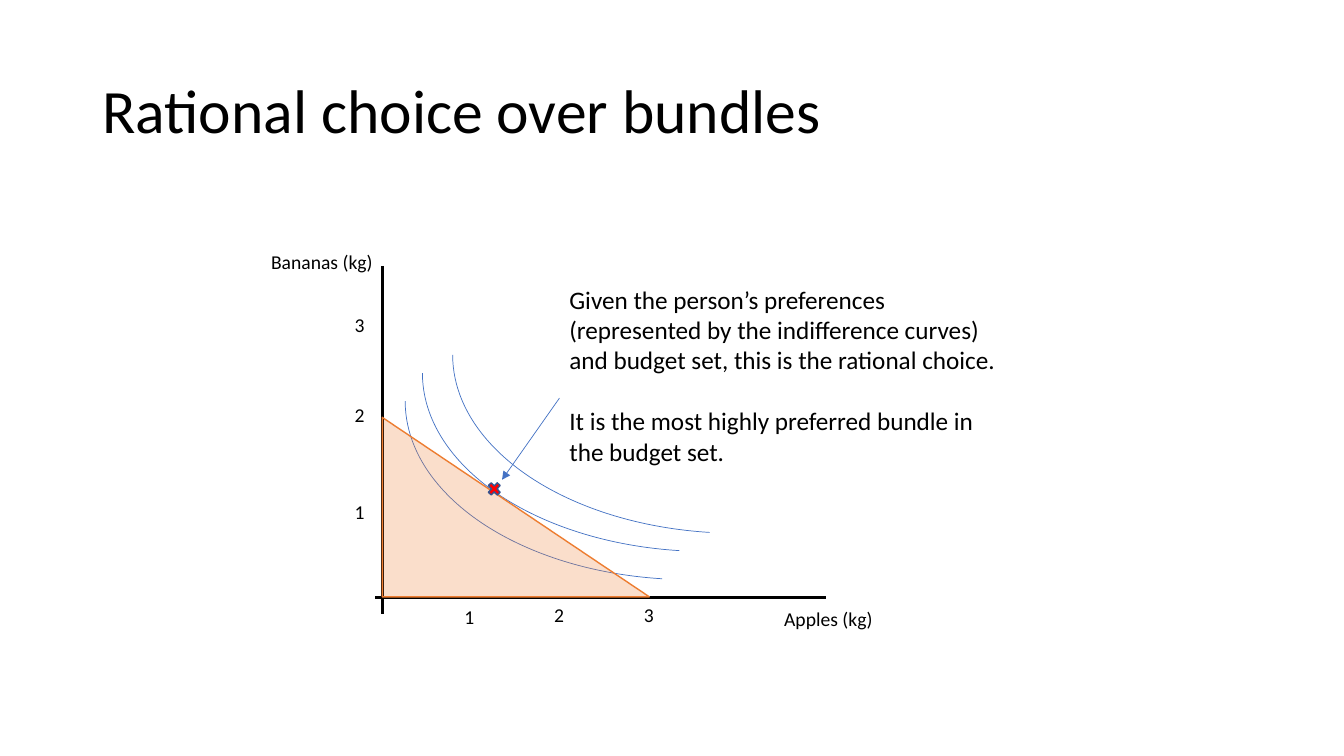
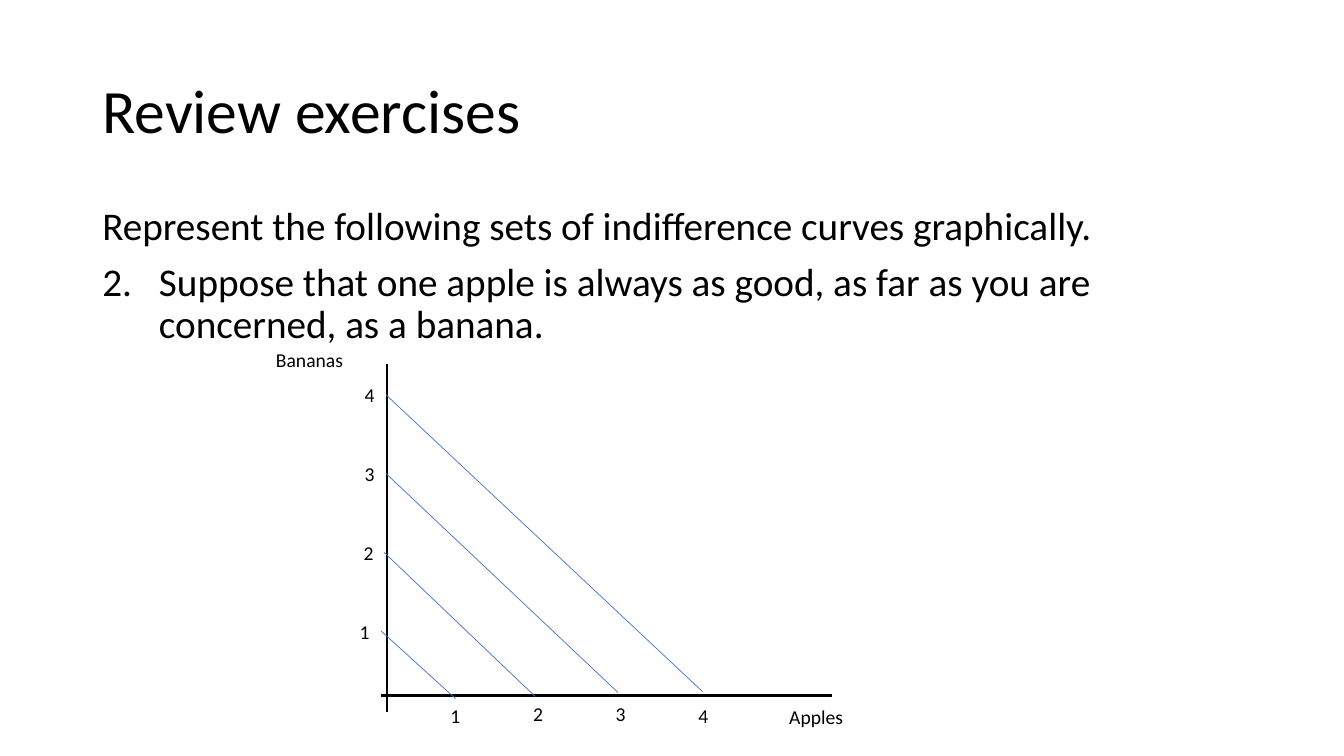
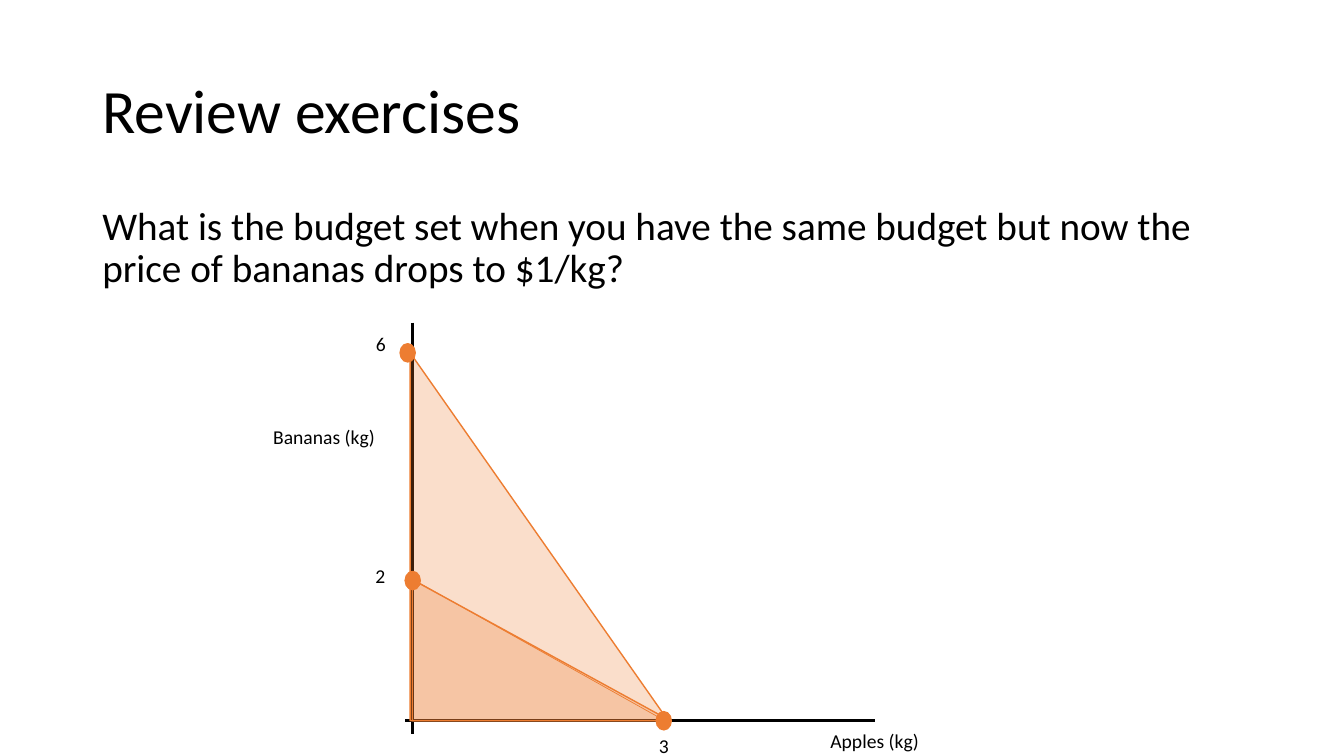
from lxml.etree import SubElement
from pptx import Presentation
from pptx.dml.color import RGBColor
from pptx.enum.shapes import MSO_CONNECTOR as Connector, MSO_SHAPE as Shape
from pptx.enum.text import MSO_ANCHOR as Anchor, MSO_AUTO_SIZE as AutoSize
from pptx.oxml.ns import qn
from pptx.util import Pt

BLACK = RGBColor(0x00, 0x00, 0x00)
BLUE = RGBColor(0x44, 0x72, 0xC4)
NAVY = RGBColor(0x32, 0x54, 0x91)
ORANGE = RGBColor(0xED, 0x7D, 0x31)
RED = RGBColor(0xFF, 0x00, 0x00)

FONT = "Calibri"
MARGIN, CONTENT_WIDTH = 66, 828
NUMBER_INDENT = 40.5


class Deck:
    """Presentation style together with the page being filled."""

    def __init__(self):
        self.show = Presentation()
        self.show.slide_width, self.show.slide_height = Pt(960), Pt(540)
        self.page = None

    def new_page(self, title):
        self.page = self.show.slides.add_slide(self.show.slide_layouts[6])
        box = self.text_box(MARGIN, 28.75, CONTENT_WIDTH, 104.4)
        box.vertical_anchor = Anchor.MIDDLE
        self.add_span(box.paragraphs[0], title, 44).line_spacing = 0.9

    def text_box(self, left, top, width, height):
        box = self.page.shapes.add_textbox(Pt(left), Pt(top), Pt(width), Pt(height))
        box.text_frame.word_wrap = True
        return box.text_frame

    def add_span(self, para, text, size):
        """Add a styled run and return its paragraph."""
        span = para.add_run()
        span.text = text
        span.font.name, span.font.size = FONT, Pt(size)
        span.font.color.rgb = BLACK
        return para

    def add_paragraphs(self, box, texts, size):
        """Add one paragraph per text and return them all."""
        for _ in texts[1:]:
            box.add_paragraph()
        return [self.add_span(para, text, size)
                for para, text in zip(box.paragraphs, texts)]

    def body(self, *texts, first_number=None):
        """Add the body; paragraphs after the first are numbered from first_number."""
        box = self.text_box(MARGIN, 143.75, CONTENT_WIDTH, 342.6)
        paras = self.add_paragraphs(box, texts, 28)
        for para in paras:
            para.line_spacing, para.space_before = 0.9, Pt(10)
        for para in paras[1:]:
            props = para._p.get_or_add_pPr()
            props.set("marL", str(Pt(NUMBER_INDENT)))
            props.set("indent", str(-Pt(NUMBER_INDENT)))
            SubElement(props, qn("a:buAutoNum"), type="arabicPeriod",
                       startAt=str(first_number))

    def note(self, left, top, width, height, texts, gap):
        box = self.text_box(left, top, width, height)
        box.auto_size = AutoSize.SHAPE_TO_FIT_TEXT
        for para in self.add_paragraphs(box, texts, 18)[1:]:
            para.space_before = Pt(gap)

    def axis_name(self, left, top, text):
        box = self.text_box(left, top, 153.5, 24.25)
        box.auto_size = AutoSize.SHAPE_TO_FIT_TEXT
        self.add_span(box.paragraphs[0], text, 14)

    def tick(self, left, top, value):
        box = self.text_box(left, top, 21.7, 24.25)
        box.word_wrap, box.auto_size = False, AutoSize.SHAPE_TO_FIT_TEXT
        self.add_span(box.paragraphs[0], str(value), 14)

    def ticks(self, places):
        """Number the given (left, top) places from 1."""
        for value, (left, top) in enumerate(places, 1):
            self.tick(left, top, value)

    def line(self, start, end, color=BLUE, weight=0.5, arrow=False):
        line = self.page.shapes.add_connector(
            Connector.STRAIGHT, *(Pt(value) for value in (*start, *end)))
        line.line.color.rgb, line.line.width = color, Pt(weight)
        props = line._element.spPr
        if arrow:
            SubElement(props.find(qn("a:ln")), qn("a:tailEnd"), type="triangle")
        SubElement(props, qn("a:effectLst"))

    def axes(self, x, y, top, bottom, left, right):
        self.line((x, top), (x, bottom), BLACK, 2)
        self.line((right, y), (left, y), BLACK, 2)

    def shape(self, kind, left, top, width, height, line, weight=1, fill=None):
        shape = self.page.shapes.add_shape(
            kind, Pt(left), Pt(top), Pt(width), Pt(height))
        shape.shadow.inherit = False
        shape.line.color.rgb, shape.line.width = line, Pt(weight)
        if fill is None:
            shape.fill.background()
        else:
            shape.fill.solid()
            shape.fill.fore_color.rgb = fill
        return shape

    def budget_set(self, left, top, width, height):
        """Add a translucent triangle with its right angle at the origin."""
        shape = self.shape(Shape.RIGHT_TRIANGLE, left, top, width, height,
                           ORANGE, fill=ORANGE)
        color = shape._element.spPr.find(qn("a:solidFill")).find(qn("a:srgbClr"))
        SubElement(color, qn("a:alpha"), val="25000")

    def indifference_curve(self, left, top):
        arc = self.shape(Shape.ARC, left, top, 406.8, 254.9, BLUE, 0.5)
        arc.adjustments[0], arc.adjustments[1] = 167.32, 0
        arc.rotation = 180

    def dot(self, x, y):
        width, height = 10.8, 13
        self.shape(Shape.OVAL, x - width / 2, y - height / 2, width, height,
                   ORANGE, fill=ORANGE)


def rational_choice(deck):
    deck.new_page("Rational choice over bundles")
    deck.axes(x=273, y=427, top=190, bottom=438.5, left=268, right=589.7)
    deck.axis_name(553, 430, "Apples (kg)")
    deck.axis_name(186.5, 175, "Bananas (kg)")
    deck.ticks([(324.7, 428.4), (388.8, 427), (452.9, 427)])
    deck.ticks((246.2, top) for top in (353.5, 284.4, 219.6))
    for left, top in ((289.4, 159.1), (301.7, 139), (323.3, 126)):
        deck.indifference_curve(left, top)
    deck.budget_set(273, 298.1, 190.8, 128.2)
    deck.shape(Shape.MATH_MULTIPLY, 347, 342.7, 12.2, 13, NAVY, fill=RED)
    deck.note(399.6, 199.4, 329.8, 138.2, [
        "Given the person’s preferences (represented by the indifference curves) "
        "and budget set, this is the rational choice.",
        "It is the most highly preferred bundle in the budget set.",
    ], gap=22)
    deck.line((399.6, 284.4), (358.6, 342.7), arrow=True)


def equal_goods(deck):
    deck.new_page("Review exercises")
    deck.body(
        "Represent the following sets of indifference curves graphically.",
        "Suppose that one apple is always as good, as far as you are concerned, "
        "as a banana.",
        first_number=2)
    deck.axes(x=276.5, y=496.8, top=260, bottom=508.3, left=272.2, right=594)
    deck.axis_name(556.6, 499.7, "Apples")
    deck.axis_name(190, 244.8, "Bananas")
    deck.ticks((314.6 + 59.05 * step, top)
               for step, top in enumerate((499, 497.5, 497.5, 499)))
    deck.ticks((left, 439 - 56.3 * step)
               for step, left in enumerate((249.8, 252.7, 253.4, 253.4)))
    curves = ((272.2, 325.4, 499), (274.3, 382.3, 497.5),
              (275.8, 441.4, 494.6), (275.8, 501.8, 494))
    for step, (left, right, bottom) in enumerate(curves):
        deck.line((left, 450.7 - 56.2 * step), (right, bottom))


def cheaper_bananas(deck):
    deck.new_page("Review exercises")
    deck.body("What is the budget set when you have the same budget but now the "
              "price of bananas drops to $1/kg?")
    deck.line((295.2, 414), (478.8, 517), ORANGE)
    deck.axes(x=294.5, y=514.8, top=230.4, bottom=524.2, left=289.4, right=625)
    deck.budget_set(294.5, 414, 184.3, 100.8)
    deck.axis_name(586, 517, "Apples (kg)")
    deck.axis_name(188, 300.2, "Bananas (kg)")
    deck.dot(294.8, 414.7)
    deck.tick(463.5, 520.6, 3)
    deck.tick(261, 398.9, 2)
    deck.dot(474.1, 514.8)
    deck.tick(261.4, 233.3, 6)
    deck.budget_set(293, 252, 184.3, 262.8)
    deck.dot(291.2, 252)


def main():
    deck = Deck()
    rational_choice(deck)
    equal_goods(deck)
    cheaper_bananas(deck)
    deck.show.save("out.pptx")


if __name__ == "__main__":
    main()
